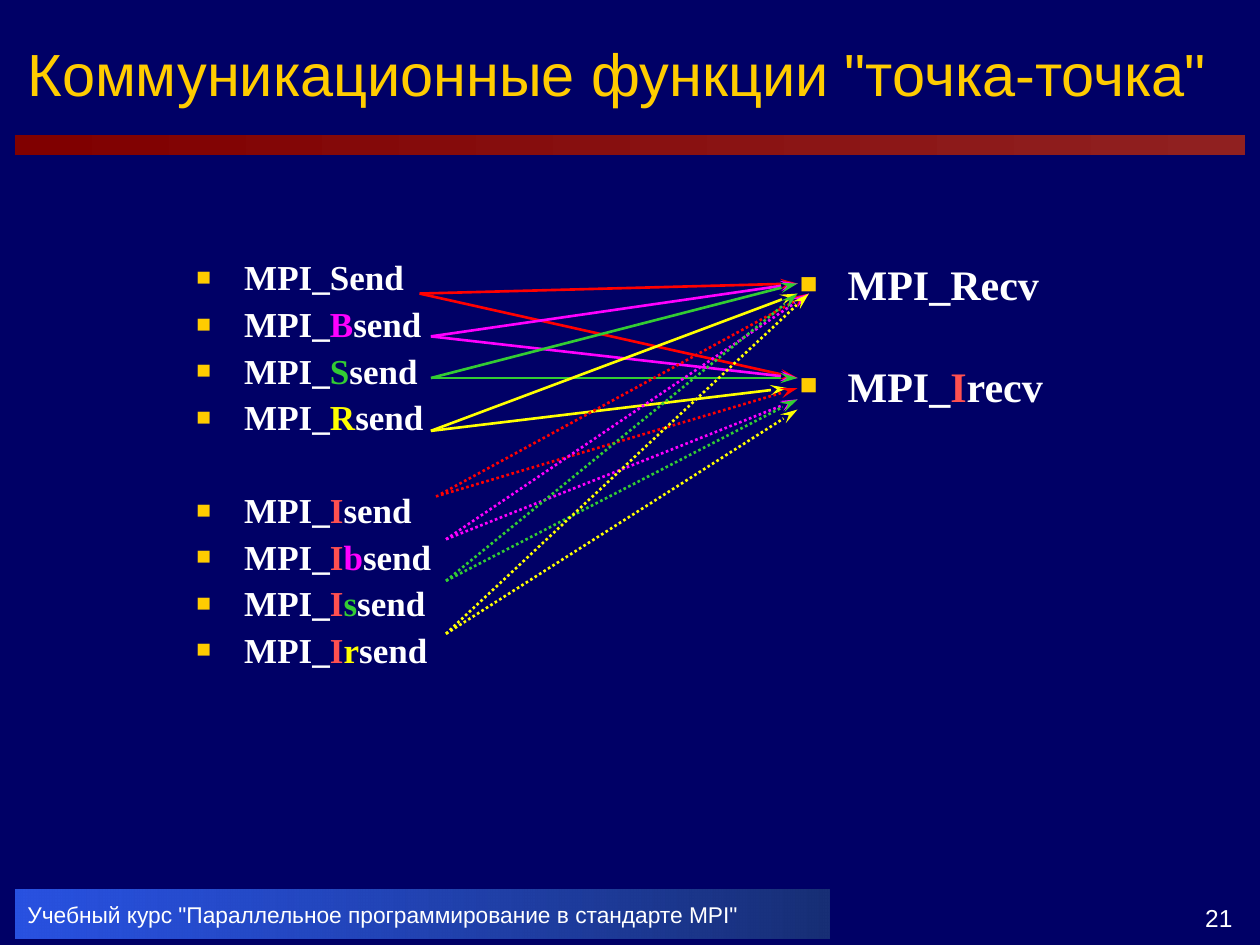
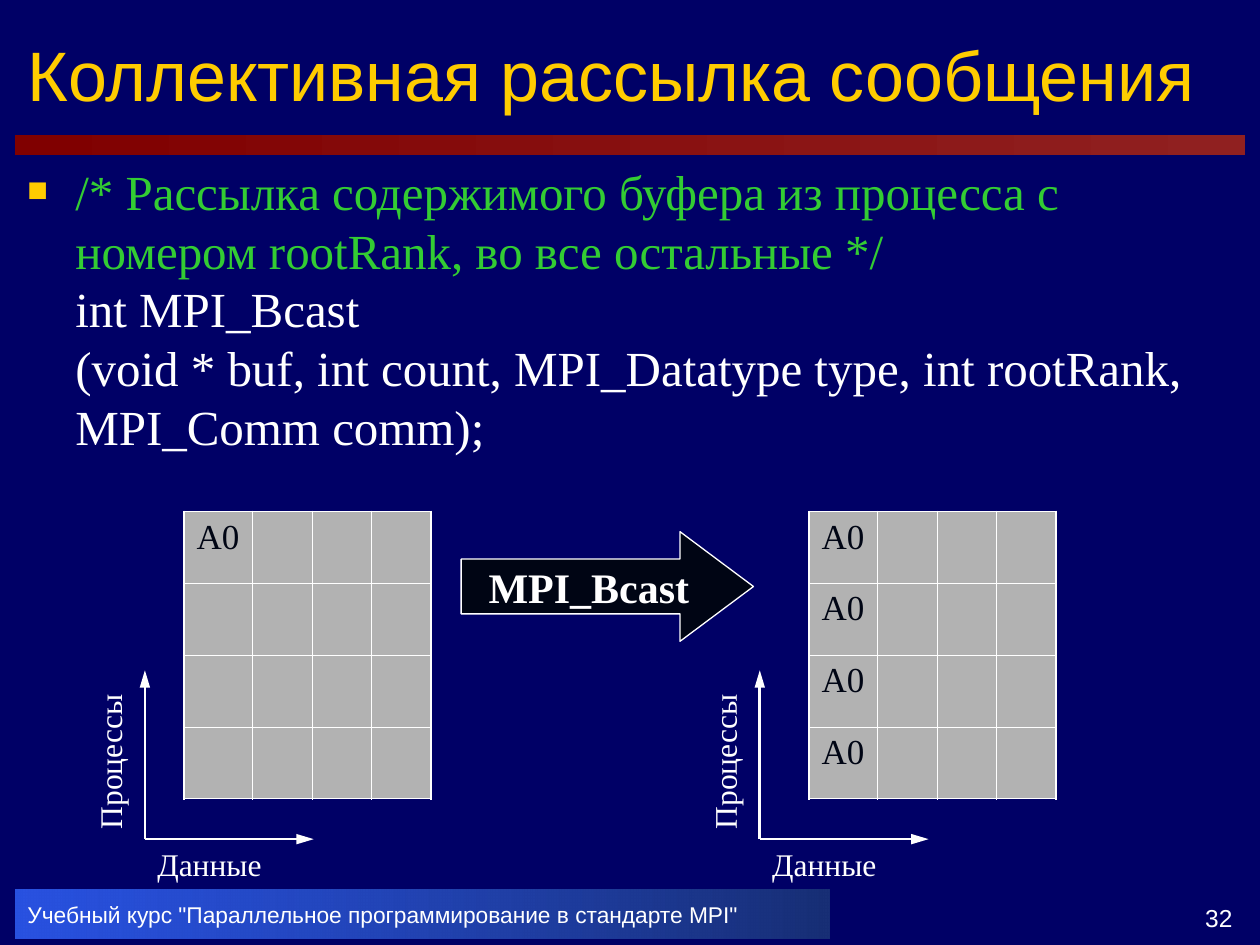
from lxml import etree
from pptx import Presentation
from pptx import util as u
from pptx.dml.color import RGBColor
from pptx.enum import dml, shapes, text
from pptx.oxml import ns

W, H = 10, 7.5
EDGE = 0.12
BAND_TOP, BAND_H = 1.07, 0.16
FOOT_TOP, FOOT_H = 7.06, 0.39
SANS, SERIF = "Arial", "Times New Roman"
NAVY, GOLD, WHITE, INK, GREY = "000066", "FFCC00", "FFFFFF", "000514", "B2B2B2"
RED, MAGENTA, GREEN, YELLOW, CORAL = "FF0000", "FF00FF", "33CC33", "FFFF00", "FF5050"
FOOTER = 'Учебный курс "Параллельное программирование в стандарте MPI"'
MARKS = {"I": CORAL, "B": MAGENTA, "S": GREEN, "R": YELLOW}

SENDS = [("", "Send"), ("B", "send"), ("S", "send"), ("R", "send"),
         ("I", "send"), ("Ib", "send"), ("Is", "send"), ("Ir", "send")]
FIRST_ISEND = 4
RECVS = [("", "Recv"), ("I", "recv")]
LINKS = [
    (RED, None, [((3.33, 2.33), (6.33, 2.25)), ((3.33, 2.33), (6.33, 3))]),
    (MAGENTA, None, [((3.42, 2.67), (6.33, 2.25)), ((3.42, 2.67), (6.33, 3))]),
    (GREEN, None, [((3.42, 3), (6.33, 2.25)), ((3.42, 3), (6.33, 3))]),
    (YELLOW, None, [((3.42, 3.42), (6.33, 2.33)), ((3.42, 3.42), (6.25, 3.08))]),
    (RED, "dot", [((3.5, 3.92), (6.42, 2.33)), ((3.46, 3.94), (6.33, 3.08))]),
    (MAGENTA, "dot", [((3.54, 4.28), (6.42, 2.33)), ((3.54, 4.28), (6.33, 3.17))]),
    (GREEN, "dot", [((3.54, 4.61), (6.33, 2.33)), ((3.54, 4.61), (6.33, 3.17))]),
    (YELLOW, "dot", [((3.54, 5.03), (6.42, 2.33)), ((3.54, 5.03), (6.33, 3.25))]),
]

BCAST = [
    ("/* Рассылка содержимого буфера из процесса с номером rootRank, во все остальные */\n", GREEN),
    ("int MPI_Bcast\n(void * buf, int count, MPI_Datatype type, int rootRank, MPI_Comm comm);", WHITE),
]
COLS, ROW_H, GRID_TOP = (0.54, 0.48, 0.47, 0.47), 0.57, 4.06
GRIDS = [
    (1.46, 1.15, ["A0", "", "", ""]),
    (6.42, 6.03, ["A0", "A0", "A0", "A0"]),
]
AXIS_Y, AXIS_LEN = 6.66, 1.34


def rgb(c):
    return RGBColor.from_string(c)


def inches(*values):
    return [u.Inches(v) for v in values]


def sub(parent, tag, **attrs):
    return etree.SubElement(parent, ns.qn(tag), attrs)


def add_bullet(p, indent=0.38):
    pPr = p._p.get_or_add_pPr()
    pPr.set("marL", str(u.Inches(indent)))
    pPr.set("indent", str(-u.Inches(indent)))
    sub(sub(pPr, "a:buClr"), "a:srgbClr", val=GOLD)
    sub(pPr, "a:buSzPct", val="70000")
    sub(pPr, "a:buFont", typeface=SERIF)
    sub(pPr, "a:buChar", char="■")


def write(p, runs, size, font=SERIF, bold=False, **fmt):
    for name, value in fmt.items():
        setattr(p, name, value)
    for words, color in runs:
        for i, line in enumerate(words.split("\n")):
            if i:
                p.add_line_break()
            if line:
                r = p.add_run()
                r.text = line
                for name, value in {"size": u.Pt(size), "name": font, "bold": bold}.items():
                    setattr(r.font, name, value)
                r.font.color.rgb = rgb(color)


def add_box(s, at, anchor=text.MSO_ANCHOR.TOP):
    sp = s.shapes.add_textbox(*inches(*at))
    sp.text_frame.word_wrap = True
    sp.text_frame.vertical_anchor = anchor
    return sp


def add_shape(s, kind, at):
    sp = s.shapes.add_shape(kind, *inches(*at))
    sp.shadow.inherit = False
    sp.line.fill.background()
    return sp


def add_gradient(s, at, colors):
    sp = add_shape(s, shapes.MSO_SHAPE.RECTANGLE, at)
    sp.fill.gradient()
    sp.fill.gradient_angle = 0
    for stop, pos, c in zip(sp.fill.gradient_stops, (0, 1), colors):
        stop.position = pos
        stop.color.rgb = rgb(c)
    return sp


def add_arrow(s, start, end, color, head, dash=None):
    cn = s.shapes.add_connector(shapes.MSO_CONNECTOR.STRAIGHT, *inches(*start, *end))
    cn.line.color.rgb = rgb(color)
    cn.line.width = u.Pt(1.5)
    if dash:
        cn.line.dash_style = dml.MSO_LINE.ROUND_DOT
    sub(cn.line._get_or_add_ln(), "a:tailEnd", type=head, w="med", len="lg")
    sub(cn._element.spPr, "a:effectLst")


def add_frame(prs, title, size, number):
    s = prs.slides.add_slide(prs.slide_layouts[6])
    s.background.fill.solid()
    s.background.fill.fore_color.rgb = rgb(NAVY)
    wide = W - 2 * EDGE
    add_gradient(s, (EDGE, BAND_TOP, wide, BAND_H), ("800000", "902020"))
    sp = add_box(s, (8.86, FOOT_TOP, 1.02, FOOT_H), text.MSO_ANCHOR.BOTTOM)
    write(sp.text_frame.paragraphs[0], [(number, WHITE)], 14, SANS, alignment=text.PP_ALIGN.RIGHT)
    sp = add_gradient(s, (EDGE, FOOT_TOP, 6.46, FOOT_H), ("3366FF", "182F76"))
    sub(next(sp._element.spPr.iter(ns.qn("a:srgbClr"))), "a:alpha", val="80000")
    sp.text_frame.vertical_anchor = text.MSO_ANCHOR.MIDDLE
    write(sp.text_frame.paragraphs[0], [(FOOTER, WHITE)], 13, SANS, alignment=text.PP_ALIGN.LEFT)
    sp = add_box(s, (EDGE, 0.09, wide, 0.98), text.MSO_ANCHOR.MIDDLE)
    write(sp.text_frame.paragraphs[0], [(title, GOLD)], size, SANS)
    return s


def add_functions(s, at, names, size, spacing, gaps):
    tf = add_box(s, at).text_frame
    for i, ((letters, tail), gap) in enumerate(zip(names, gaps)):
        p = tf.paragraphs[0] if i == 0 else tf.add_paragraph()
        add_bullet(p)
        runs = [("MPI_", WHITE)] + [(c, MARKS[c.upper()]) for c in letters] + [(tail, WHITE)]
        write(p, runs, size, bold=True, line_spacing=spacing, space_before=u.Pt(gap))


def set_borders(cell, outer):
    tcPr = cell._tc.get_or_add_tcPr()
    for i, (side, is_outer) in enumerate(zip("LRTB", outer)):
        ln = sub(tcPr, f"a:ln{side}", w=str(u.Pt(1.08 if is_outer else 0.45)))
        sub(sub(ln, "a:solidFill"), "a:srgbClr", val=WHITE)
        tcPr.insert(i, ln)


def add_grid(s, left, first_column):
    n, m = len(first_column), len(COLS)
    t = s.shapes.add_table(n, m, *inches(left, GRID_TOP, sum(COLS), n * ROW_H)).table
    t.first_row = t.horz_banding = False
    for col, w in zip(t.columns, COLS):
        col.width = u.Inches(w)
    for i, label in enumerate(first_column):
        for j in range(m):
            cell = t.cell(i, j)
            cell.margin_right = 0
            cell.fill.solid()
            cell.fill.fore_color.rgb = rgb(GREY)
            set_borders(cell, (j == 0, j == m - 1, i == 0, i == n - 1))
        write(t.cell(i, 0).text_frame.paragraphs[0], [(label, INK)], 20)


def add_axes(s, x):
    origin = (x, AXIS_Y)
    for end in ((x + AXIS_LEN, AXIS_Y), (x, AXIS_Y - AXIS_LEN)):
        add_arrow(s, origin, end, WHITE, "triangle")
    for label, at, turn in (("Процессы", (x - 1, 5.76, 1.44, 0.4), 270),
                            ("Данные", (x, AXIS_Y, 1.19, 0.4), 0)):
        sp = add_box(s, at)
        sp.rotation = turn
        write(sp.text_frame.paragraphs[0], [(label, WHITE)], 18)


def build_point_to_point(prs):
    s = add_frame(prs, 'Коммуникационные функции "точка-точка"', 34, "21")
    gaps = [0 if i == 0 else 31.6 if i == FIRST_ISEND else 5 for i in range(len(SENDS))]
    add_functions(s, (1.46, 2.02, 2.68, 3.62), SENDS, 20, 0.9, gaps)
    add_functions(s, (6.25, 2.08, 3.5, 1.33), RECVS, 24, 0.8, (0, 35))
    for color, dash, ends in LINKS:
        for start, end in ends:
            add_arrow(s, start, end, color, "stealth", dash)


def build_broadcast(prs):
    s = add_frame(prs, "Коллективная рассылка сообщения", 40, "32")
    p = add_box(s, (EDGE, BAND_TOP + BAND_H, W - 2 * EDGE, 2.52)).text_frame.paragraphs[0]
    add_bullet(p)
    write(p, BCAST, 28)
    for left, axis_x, first_column in GRIDS:
        add_grid(s, left, first_column)
        add_axes(s, axis_x)
    sp = add_shape(s, shapes.MSO_SHAPE.RIGHT_ARROW, (3.66, 4.22, 2.32, 0.87))
    sp.adjustments[0], sp.adjustments[1] = 0.5, 0.67
    sp.fill.solid()
    sp.fill.fore_color.rgb = rgb(INK)
    sp.line.color.rgb = rgb(WHITE)
    sp.line.width = u.Pt(0.75)
    sp.text_frame.word_wrap = False
    sp.text_frame.vertical_anchor = text.MSO_ANCHOR.MIDDLE
    write(sp.text_frame.paragraphs[0], [("MPI_Bcast", WHITE)], 24, bold=True,
          alignment=text.PP_ALIGN.CENTER)


def main():
    prs = Presentation()
    prs.slide_width, prs.slide_height = inches(W, H)
    build_point_to_point(prs)
    build_broadcast(prs)
    prs.save("out.pptx")


if __name__ == "__main__":
    main()
